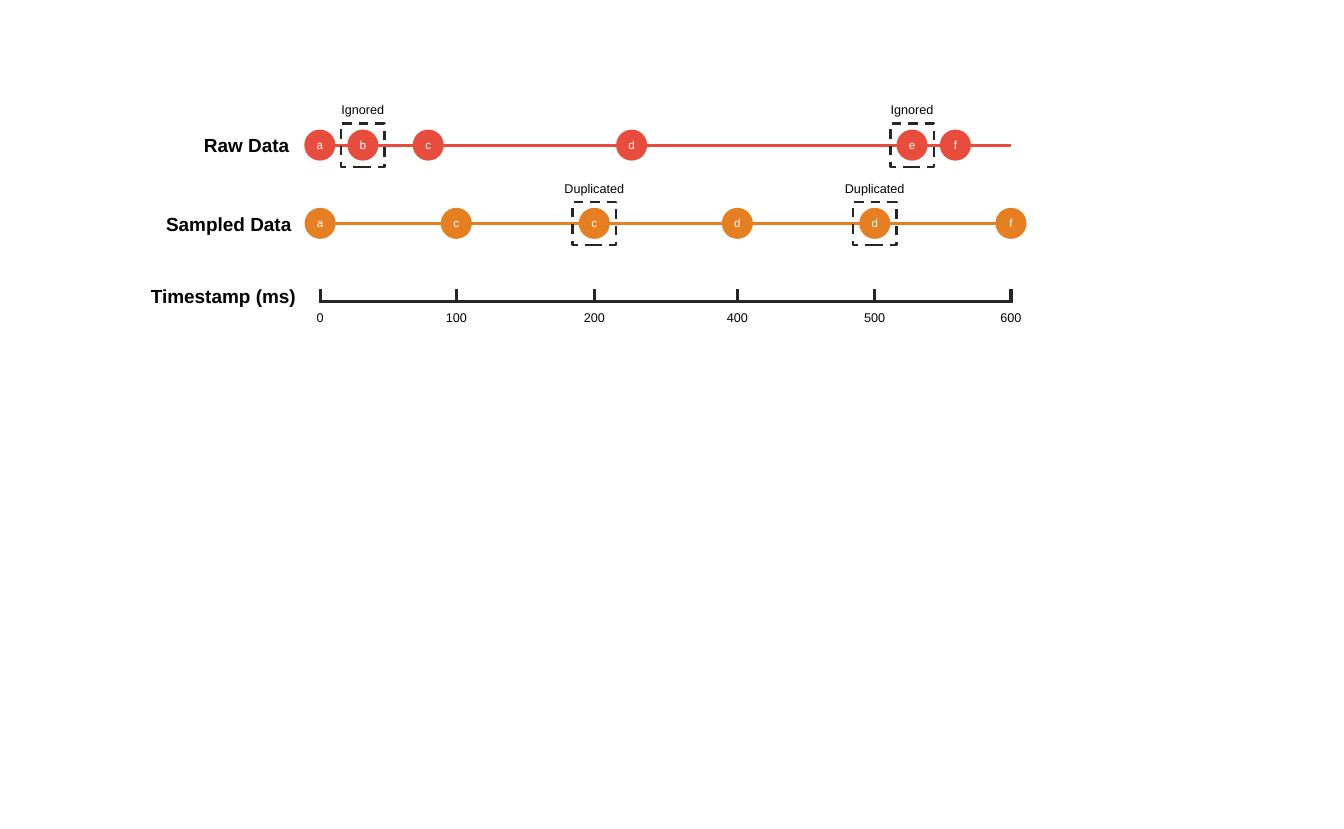
import pptx
import pptx.util
import pptx.dml.color
import pptx.enum.dml
import pptx.enum.shapes
import pptx.enum.text
import pptx.oxml.ns
import lxml.etree

Cm, Pt = pptx.util.Cm, pptx.util.Pt
SHAPE = pptx.enum.shapes.MSO_SHAPE
ALIGN = pptx.enum.text.PP_ALIGN
COLORS = {"raw": "E74C3C", "sampled": "E67E22", "axis": "262626",
          "text": "000000", "marker_text": "FFFFFF"}
MARKER, FRAME = 1.04, 1.45  # cm
TICKS = [5.92, 10.48, 15.1, 19.89, 24.49, 29.05]  # cm from the left of a row


def rgb(name):
    """Return a named colour."""
    return pptx.dml.color.RGBColor.from_string(COLORS[name])


def set_text(s, text, size, color, align, bold=False):
    """Write one formatted line of text into a shape."""
    tf = s.text_frame
    tf.text = text
    tf.word_wrap = False
    p = tf.paragraphs[0]
    p.alignment = align
    font = p.runs[0].font
    font.name, font.size, font.bold = "Arial", Pt(size), bold
    font.color.rgb = rgb(color)


def add_text(slide, x, y, w, h, text, size=12, align=ALIGN.CENTER, bold=False):
    """Add a text box, measured in cm."""
    s = slide.shapes.add_textbox(Cm(x), Cm(y), Cm(w), Cm(h))
    set_text(s, text, size, "text", align, bold)


def add_line(slide, x1, y1, x2, y2, color):
    """Add a straight line without shadow."""
    s = slide.shapes.add_connector(pptx.enum.shapes.MSO_CONNECTOR.STRAIGHT,
                                   Cm(x1), Cm(y1), Cm(x2), Cm(y2))
    s.line.color.rgb = rgb(color)
    s.line.width = Pt(3)
    lxml.etree.SubElement(s._element.spPr, pptx.oxml.ns.qn("a:effectLst"))


def add_centred(slide, shape, x, y, size):
    """Add a square-sized shape around a centre point."""
    s = slide.shapes.add_shape(shape, Cm(x - size / 2), Cm(y - size / 2),
                               Cm(size), Cm(size))
    s.shadow.inherit = False
    return s


def add_marker(slide, x, y, letter, color):
    """Add a lettered data point."""
    s = add_centred(slide, SHAPE.OVAL, x, y, MARKER)
    s.fill.solid()
    s.fill.fore_color.rgb = rgb(color)
    s.line.fill.background()
    set_text(s, letter, 11, "marker_text", ALIGN.CENTER)


def add_callout(slide, x, y, caption):
    """Frame a data point with dashes and put a caption above it."""
    s = add_centred(slide, SHAPE.RECTANGLE, x, y, FRAME)
    s.fill.background()
    s.line.color.rgb = rgb("axis")
    s.line.width = Pt(2.25)
    s.line.dash_style = pptx.enum.dml.MSO_LINE.DASH
    add_text(slide, x - 1.32, y - 1.56, 2.64, 0.76, caption)


def add_data_row(slide, box, label, indent, color, points, caption, marked):
    """Draw a labelled data line; marked holds the indexes to call out."""
    left, top, width, height = box
    y = top + height / 2
    add_line(slide, left + 5.8, y, left + width - MARKER / 2, y, color)
    add_text(slide, left + indent, y - 0.5, 5.4 - indent, 1.02, label, 18,
             ALIGN.LEFT, True)
    for x, letter in points:
        add_marker(slide, left + x, y, letter, color)
    for i in marked:
        add_callout(slide, left + points[i][0], y, caption)


def add_time_axis(slide, box, label, values):
    """Draw the labelled time axis with its ticks and values."""
    left, top, width, height = box
    y = top + height / 2
    add_line(slide, left + TICKS[0], y, left + TICKS[-1], y, "axis")
    add_text(slide, left, y - 0.69, 5.4, 1.02, label, 18, ALIGN.LEFT, True)
    for x, value in zip(TICKS, values):
        add_line(slide, left + x, y + 0.03, left + x, y - 0.43, "axis")
        add_text(slide, left + x - 0.61, y + 0.13, 1.22, 0.76, value)


prs = pptx.Presentation()
prs.slide_width, prs.slide_height = Cm(45), Cm(27.76)
slide = prs.slides.add_slide(prs.slide_layouts[6])
raw_points = list(zip([5.91, 7.35, 9.54, 16.35, 25.74, 27.19], "abcdef"))
add_data_row(slide, (4.8, 3.3, 29.57, 3.12), "Raw Data", 1.78, "raw",
             raw_points, "Ignored", [1, 4])
add_data_row(slide, (4.8, 5.92, 29.57, 3.12), "Sampled Data", 0.51, "sampled",
             list(zip(TICKS, "accddf")), "Duplicated", [2, 4])
add_time_axis(slide, (4.8, 9.22, 29.57, 1.78), "Timestamp (ms)",
              ["0", "100", "200", "400", "500", "600"])
prs.save("out.pptx")
